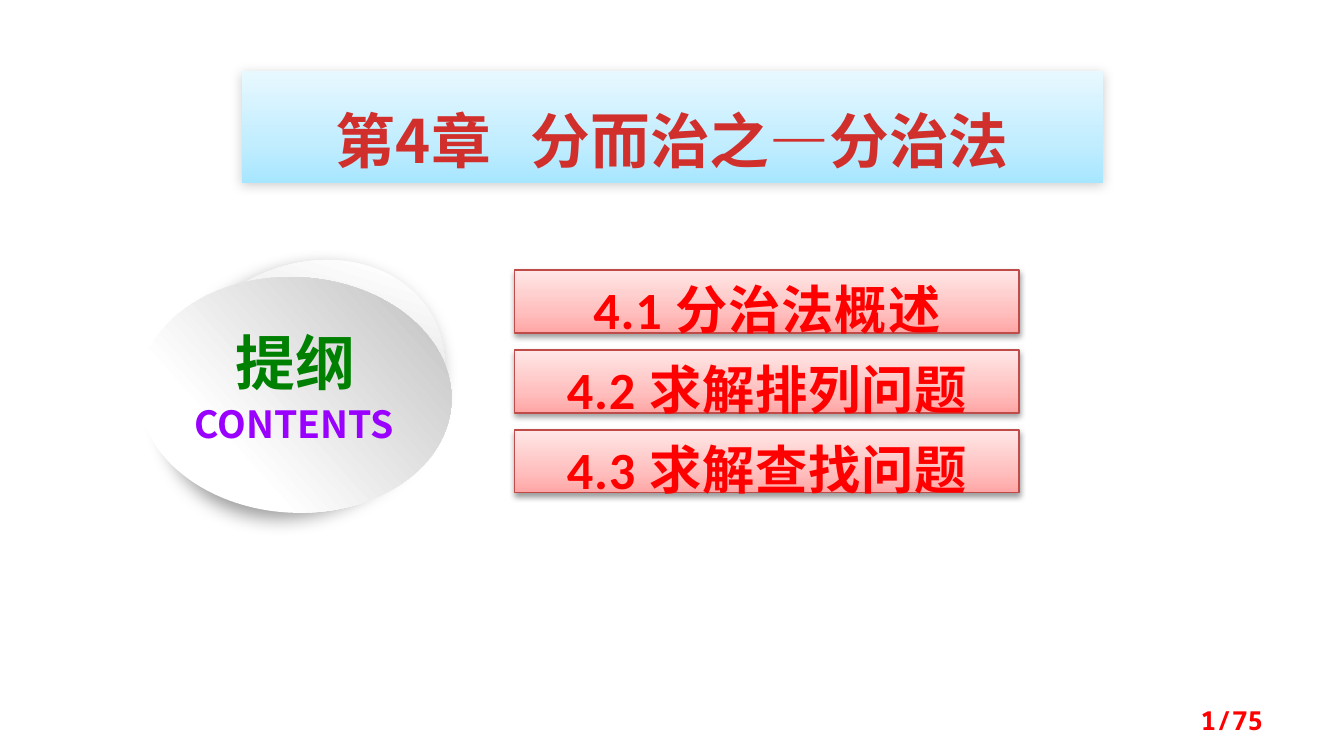
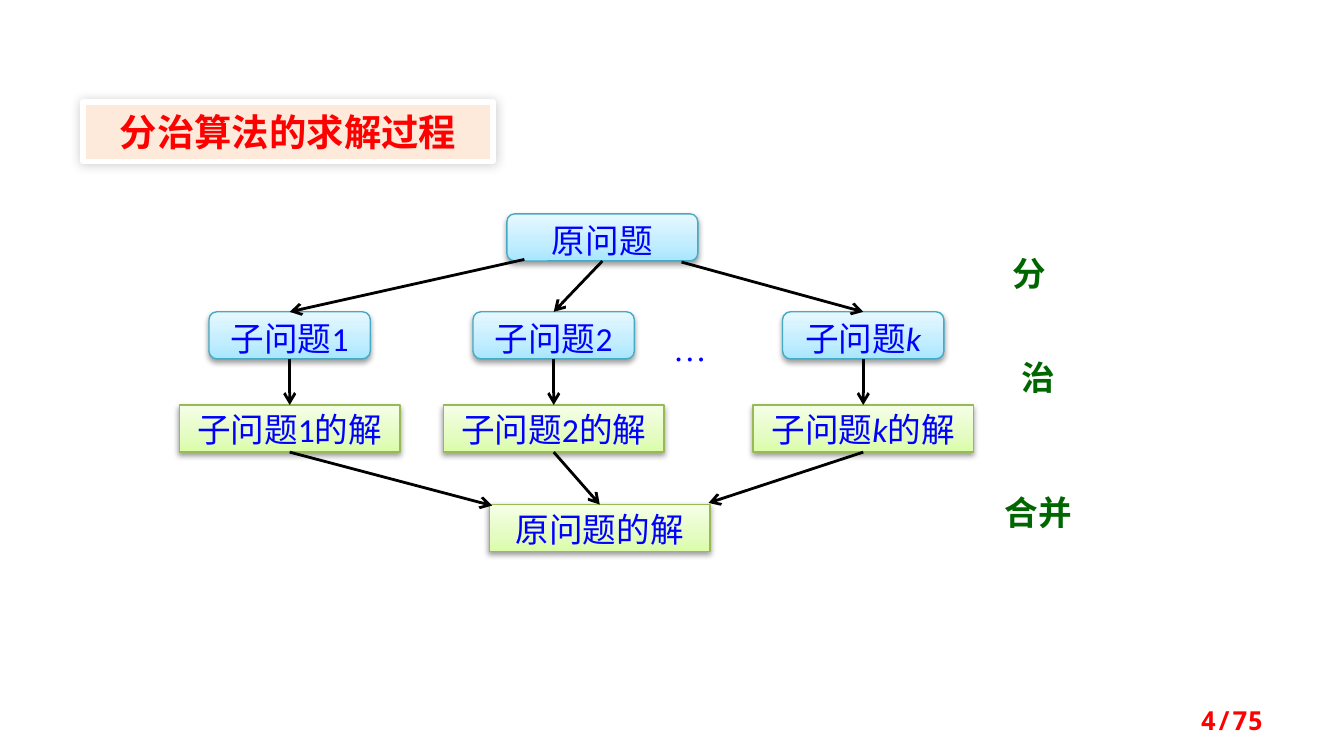
from pptx import Presentation, util as u
from pptx.dml.color import RGBColor
from pptx.enum import shapes, text
from pptx.oxml import parse_xml
from pptx.oxml.ns import nsdecls, qn

BLACK = RGBColor(0x00, 0x00, 0x00)
WHITE = RGBColor(0xFF, 0xFF, 0xFF)
RED = RGBColor(0xFF, 0x00, 0x00)
BLUE = RGBColor(0x00, 0x00, 0xFF)
GREEN = RGBColor(0x00, 0x80, 0x00)
DARK_GREEN = RGBColor(0x00, 0x66, 0x00)
PURPLE = RGBColor(0x99, 0x00, 0xFF)
PEACH = RGBColor(0xFD, 0xEA, 0xDA)
RED_EDGE = RGBColor(0xBF, 0x4C, 0x48)
TEAL_EDGE = RGBColor(0x46, 0xAA, 0xC5)
LIME_EDGE = RGBColor(0x98, 0xB9, 0x55)

SKY_FILL = ([(0, "A7E6FF"), (35, "C1EDFF"), (100, "E7F8FF")], 270)
PINK_FILL = ([(0, "FFA6A5"), (35, "FFC0BF"), (100, "FFE7E7")], 270)
LIME_FILL = ([(0, "DAFDA7"), (35, "E4FCC2"), (100, "F5FFE7")], 270)
BACK_FILL = ([(17, "FFFFFF"), (88, "B8B8B8")], 45)
FRONT_FILL = ([(29, "FFFFFF"), (98, "BFBFBF")], 45)
TITLE_INK = ([(0, "FC7C7A"), (75, "D02F2C"), (100, "C70500")], 90)

BOX_SHADOW = (38, 3.1, 1.6, 90)
CJK = "Noto Sans CJK SC"
RECTANGLE = shapes.MSO_SHAPE.RECTANGLE
ROUNDED = shapes.MSO_SHAPE.ROUNDED_RECTANGLE
OVAL = shapes.MSO_SHAPE.OVAL
CENTER = text.PP_ALIGN.CENTER
TOP_SIDE, BOTTOM_SIDE = 0, 2


def gradient(stops, angle):
    marks = "".join(
        f'<a:gs pos="{position * 1000}"><a:srgbClr val="{color}"/></a:gs>'
        for position, color in stops
    )
    return parse_xml(
        f'<a:gradFill {nsdecls("a")} rotWithShape="1"><a:gsLst>{marks}</a:gsLst>'
        f'<a:lin ang="{angle * 60000}" scaled="0"/></a:gradFill>'
    )


def outer_shadow(opacity, blur, distance, angle):
    return parse_xml(
        f'<a:outerShdw {nsdecls("a")} blurRad="{u.Pt(blur)}" dist="{u.Pt(distance)}" '
        f'dir="{angle * 60000}" algn="ctr" rotWithShape="0">'
        f'<a:srgbClr val="{BLACK}"><a:alpha val="{opacity * 1000}"/></a:srgbClr></a:outerShdw>'
    )


class Deck:
    def __init__(self, width, height):
        self.presentation = Presentation()
        self.presentation.slide_width = u.Cm(width)
        self.presentation.slide_height = u.Cm(height)
        self.slide = None

    def new_slide(self, page):
        self.slide = self.presentation.slides.add_slide(self.presentation.slide_layouts[6])
        self.label((18.21, 13.23, 5.92, 0.76), page,
                   dict(size=14, name="Noto Sans Mono", color=RED, bold=True),
                   alignment=text.PP_ALIGN.RIGHT, anchor=text.MSO_ANCHOR.MIDDLE)

    def set_text(self, shape, content, font, margins=(0.25, 0.13, 0.25, 0.13),
                 alignment=CENTER, anchor=text.MSO_ANCHOR.TOP, line_spacing=None):
        frame = shape.text_frame
        left, top, right, bottom = map(u.Cm, margins)
        frame_format = dict(word_wrap=True, vertical_anchor=anchor, margin_left=left,
                            margin_top=top, margin_right=right, margin_bottom=bottom)
        for name, value in frame_format.items():
            setattr(frame, name, value)
        paragraph = frame.paragraphs[0]
        paragraph.alignment = alignment
        if line_spacing:
            paragraph.line_spacing = u.Pt(line_spacing)
        runs = [(content, {})] if isinstance(content, str) else content
        for words, changes in runs:
            self.add_run(paragraph, words, {**font, **changes})

    def add_run(self, paragraph, words, font):
        run = paragraph.add_run()
        run.text = words
        values = dict(font, size=u.Pt(font["size"]))
        color = values.pop("color")
        spacing = values.pop("spacing", 0)
        for name, value in values.items():
            setattr(run.font, name, value)
        properties = run._r.get_or_add_rPr()
        if isinstance(color, RGBColor):
            run.font.color.rgb = color
        else:
            properties.insert(0, gradient(*color))
        if spacing:
            properties.set("spc", str(int(spacing * 100)))
        if any(character >= "一" for character in words):
            properties.append(parse_xml(f'<a:ea {nsdecls("a")} typeface="{CJK}"/>'))

    def label(self, place, content, font, **layout):
        shape = self.slide.shapes.add_textbox(*map(u.Cm, place))
        self.set_text(shape, content, font, **layout)

    def box(self, kind, place, fill=None, edge=None, edge_width=0.75, shadow=None, rotation=0):
        shape = self.slide.shapes.add_shape(kind, *map(u.Cm, place))
        shape.rotation = rotation
        if isinstance(fill, RGBColor):
            shape.fill.solid()
            shape.fill.fore_color.rgb = fill
        else:
            shape.fill.background()
            if fill:
                properties = shape._element.spPr
                properties.replace(properties.find(qn("a:noFill")), gradient(*fill))
        if edge is None:
            shape.line.fill.background()
        else:
            shape.line.color.rgb = edge
            shape.line.width = u.Pt(edge_width)
        shape.shadow.inherit = False
        if shadow:
            shape._element.spPr.find(qn("a:effectLst")).append(outer_shadow(*shadow))
        return shape

    def node(self, kind, place, content, fill, edge):
        shape = self.box(kind, place, fill, edge, shadow=BOX_SHADOW)
        self.set_text(shape, content, dict(size=18, name="Calibri", color=BLUE),
                      margins=(0, 0.13, 0, 0.13), line_spacing=20)
        return shape

    def problem(self, place, content):
        return self.node(ROUNDED, place, content, SKY_FILL, TEAL_EDGE)

    def solution(self, place, content):
        return self.node(RECTANGLE, place, content, LIME_FILL, LIME_EDGE)

    def mark(self, left, top, content, color, bold):
        shape = self.box(ROUNDED, (left, top, 1.4, 0.61))
        self.set_text(shape, content,
                      dict(size=18, name="Times New Roman", color=color, bold=bold),
                      margins=(0, 0, 0, 0), line_spacing=20)

    def arrow(self, source, target, start=None, end=None):
        points = [u.Cm(value) for value in (start or (0, 0)) + (end or (0, 0))]
        connector = self.slide.shapes.add_connector(shapes.MSO_CONNECTOR.STRAIGHT, *points)
        if start is None:
            connector.begin_connect(source, BOTTOM_SIDE)
        if end is None:
            connector.end_connect(target, TOP_SIDE)
        connector.line.color.rgb = BLACK
        connector.line.width = u.Pt(1.5)
        connector.line._get_or_add_ln().append(
            parse_xml(f'<a:tailEnd {nsdecls("a")} type="arrow"/>'))
        connector._element.spPr.append(parse_xml(f'<a:effectLst {nsdecls("a")}/>'))


def contents_slide(deck):
    deck.new_slide("1/75")
    title = deck.box(RECTANGLE, (4.57, 1.35, 16.28, 2.11), SKY_FILL, shadow=(20, 6, 1, 135))
    deck.set_text(title, [("第4章", {}), (" ", dict(spacing=14)), ("分而治之—分治法", {})],
                  dict(size=32, name=CJK, color=TITLE_INK, bold=True),
                  margins=(0.25, 0.61, 0.25, 0.13))

    sections = ["4.1 分治法概述", "4.2 求解排列问题", "4.3 求解查找问题"]
    for index, section in enumerate(sections):
        bar = deck.box(RECTANGLE, (9.73, 5.1 + 1.51 * index, 9.53, 1.19),
                       PINK_FILL, RED_EDGE, shadow=BOX_SHADOW)
        deck.set_text(bar, section,
                      dict(size=28, name="Calibri", color=RED, bold=True, spacing=0.5))

    deck.box(OVAL, (3.53, 4.55, 4.5, 5.44), BACK_FILL, shadow=(39, 10, 5, 123), rotation=62.3)
    deck.box(OVAL, (3.35, 4.5, 4.45, 5.92), FRONT_FILL, rotation=273)
    deck.label((3.23, 7.44, 4.67, 1.12), "CONTENTS",
               dict(size=20, name=CJK, color=PURPLE, bold=True))
    deck.label((3.63, 6.02, 3.91, 1.63), "提纲",
               dict(size=32, name=CJK, color=GREEN, bold=True))


def process_slide(deck):
    deck.new_slide("4/75")
    heading = deck.box(RECTANGLE, (1.57, 1.93, 7.75, 1.12), PEACH, WHITE, 3, (20, 6, 0, 315))
    deck.set_text(heading, "分治算法的求解过程", dict(size=20, name=CJK, color=RED, bold=True))

    whole = deck.problem((9.58, 4.04, 3.61, 0.89), "原问题")
    answer = deck.solution((9.25, 9.53, 4.17, 0.89), "原问题的解")

    columns = [
        (5.48, "1", (9.91, 4.9), (9.3, 9.55)),
        (10.47, "2", None, None),
        (16.32, "k", (12.88, 4.95), (13.39, 9.5)),
    ]
    for center, index, split_start, merge_end in columns:
        if index.isdigit():
            name, solved = f"子问题{index}", f"子问题{index}的解"
        else:
            name = [("子问题", {}), (index, dict(italic=True))]
            solved = name + [("的解", {})]
        part = deck.problem((center - 1.53, 5.89, 3.05, 0.89), name)
        result = deck.solution((center - 2.09, 7.65, 4.17, 0.89), solved)
        deck.arrow(whole, part, start=split_start)
        deck.arrow(part, result)
        deck.arrow(result, answer, end=merge_end)

    deck.mark(12.34, 6.22, "…", BLUE, False)
    for left, top, stage in [(18.75, 4.8, "分"), (18.92, 6.76, "治"), (18.92, 9.32, "合并")]:
        deck.mark(left, top, stage, DARK_GREEN, True)


def main():
    deck = Deck(25.4, 14.28)
    contents_slide(deck)
    process_slide(deck)
    deck.presentation.save("out.pptx")


if __name__ == "__main__":
    main()
